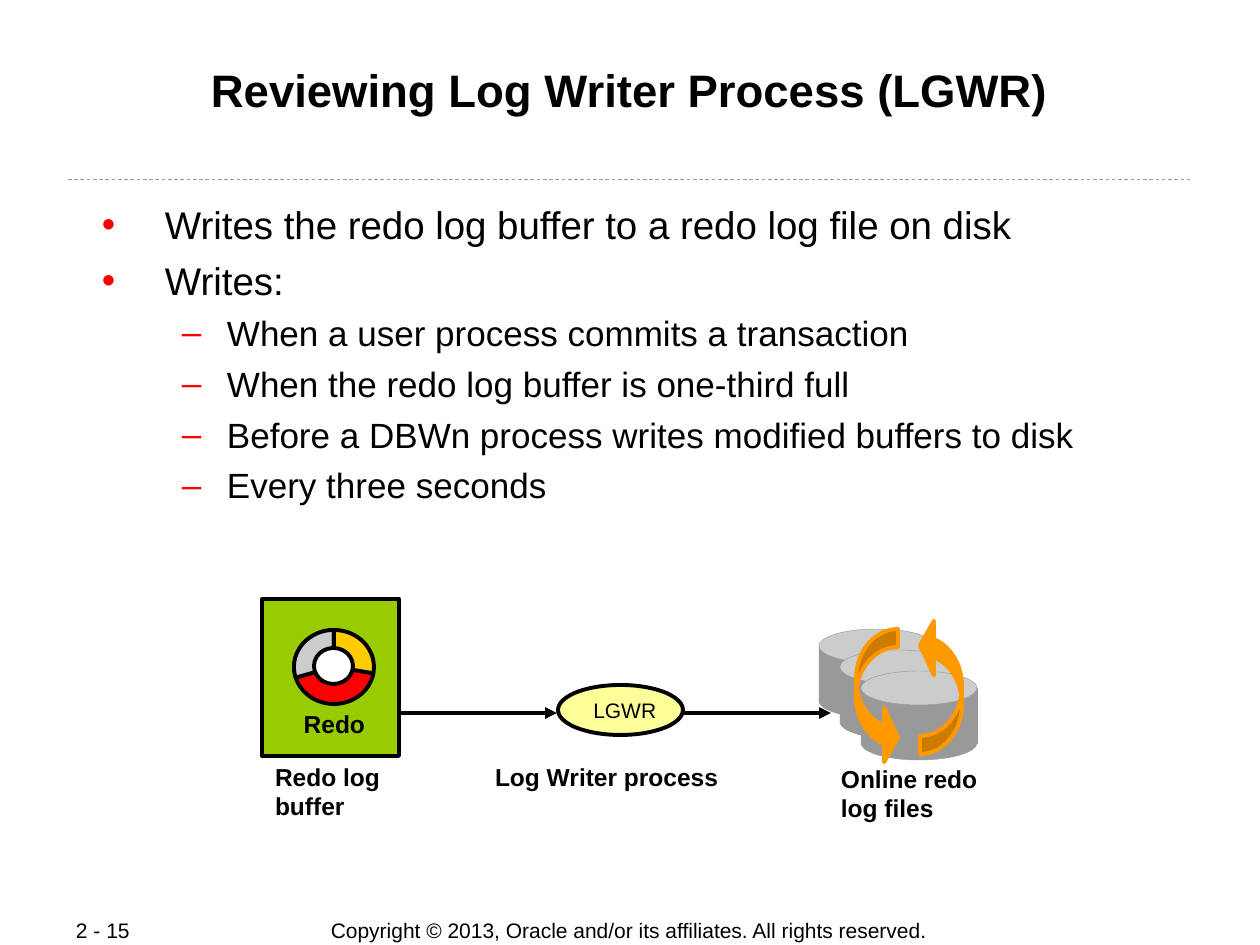
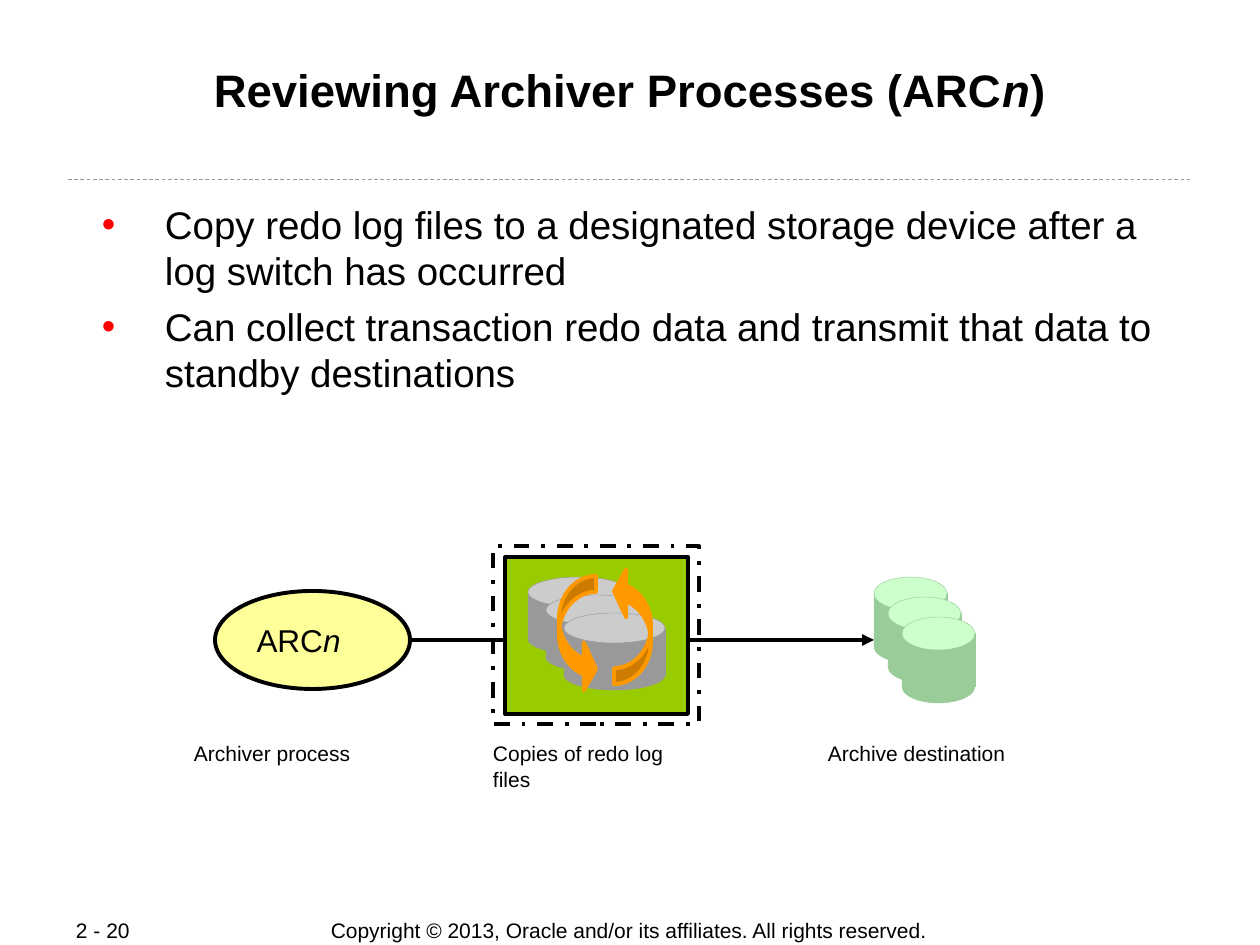
from math import cos, radians, sin

from lxml.etree import SubElement
from pptx import Presentation
from pptx.dml.color import RGBColor
from pptx.enum.dml import MSO_LINE
from pptx.enum.shapes import MSO_CONNECTOR, MSO_SHAPE
from pptx.enum.text import MSO_ANCHOR, PP_ALIGN
from pptx.oxml.ns import qn
from pptx.util import Pt

PX = 914400 / 126
FINE = 100
FONT = "Arial"
BLACK = RGBColor(0x00, 0x00, 0x00)
WHITE = RGBColor(0xFF, 0xFF, 0xFF)
RED = RGBColor(0xFF, 0x00, 0x00)
GRAY = RGBColor(0x99, 0x99, 0x99)
LIGHT_GRAY = RGBColor(0xCC, 0xCC, 0xCC)
GREEN = RGBColor(0x99, 0xCC, 0x00)
SAGE = RGBColor(0x99, 0xCC, 0x99)
MINT = RGBColor(0xCC, 0xFF, 0xCC)
YELLOW = RGBColor(0xFF, 0xFF, 0x99)
GOLD = RGBColor(0xFF, 0xCC, 0x00)
ORANGE = RGBColor(0xFF, 0x99, 0x00)
COPYRIGHT = "Copyright © 2013, Oracle and/or its affiliates. All rights reserved."
BULLETS = {0: ("•", 22, 5.5, 79, -63), 1: ("–", 20, 5, 141, -45)}


def emu(*lengths):
    """Turn px lengths into EMU."""
    return [round(length * PX) for length in lengths]


def write(paragraph, text, size, bold=False, align=PP_ALIGN.LEFT):
    """Write text into a paragraph; pieces between asterisks are italic."""
    paragraph.alignment = align
    for index, piece in enumerate(text.split("*")):
        run = paragraph.add_run()
        run.text = piece
        run.font.name = FONT
        run.font.size = Pt(size)
        run.font.bold = bold
        run.font.italic = index % 2 == 1
        run.font.color.rgb = BLACK


def set_frame(text_frame, insets, wrap=True, anchor=MSO_ANCHOR.TOP):
    """Set left, top, right and bottom insets, wrapping and anchor."""
    (text_frame.margin_left, text_frame.margin_top,
     text_frame.margin_right, text_frame.margin_bottom) = emu(*insets)
    text_frame.word_wrap = wrap
    text_frame.vertical_anchor = anchor


def add_text(slide, box, text, size, bold=False, align=PP_ALIGN.LEFT,
             insets=(13, 6, 13, 6), anchor=MSO_ANCHOR.TOP):
    """Add a text box with one paragraph per line of text."""
    text_frame = slide.shapes.add_textbox(*emu(*box)).text_frame
    set_frame(text_frame, insets, anchor=anchor)
    for index, line in enumerate(text.split("\n")):
        paragraph = text_frame.add_paragraph() if index else text_frame.paragraphs[0]
        write(paragraph, line, size, bold, align)


def add_bullets(slide, items):
    """Add the body list from (level, text) items."""
    text_frame = slide.shapes.add_textbox(*emu(85, 200, 1091, 310)).text_frame
    set_frame(text_frame, (1, 1, 1, 1))
    for index, (level, text) in enumerate(items):
        mark, size, space, margin, indent = BULLETS[level]
        paragraph = text_frame.add_paragraph() if index else text_frame.paragraphs[0]
        paragraph.level = level
        properties = paragraph._p.get_or_add_pPr()
        left, hanging = emu(margin, indent)
        properties.set("marL", str(left))
        properties.set("indent", str(hanging))
        color = SubElement(properties, qn("a:buClr"))
        SubElement(color, qn("a:srgbClr"), val=str(RED))
        SubElement(properties, qn("a:buFont"), typeface=FONT)
        SubElement(properties, qn("a:buChar"), char=mark)
        paragraph.font.size = Pt(size)
        if index:
            paragraph.space_before = Pt(space)
        write(paragraph, text, size)


def paint(shape, fill, line=BLACK, width=2.25):
    """Give a shape its fill and outline, without a shadow."""
    shape.shadow.inherit = False
    if fill is None:
        shape.fill.background()
    else:
        shape.fill.solid()
        shape.fill.fore_color.rgb = fill
    shape.line.color.rgb = line
    shape.line.width = Pt(width)


def add_shape(slide, kind, box, fill, line=BLACK, width=2.25):
    """Add a painted preset shape."""
    shape = slide.shapes.add_shape(kind, *emu(*box))
    paint(shape, fill, line, width)
    return shape


def add_line(slide, start, end, y, color=BLACK, width=2.25):
    """Add a horizontal line without a shadow."""
    line = slide.shapes.add_connector(MSO_CONNECTOR.STRAIGHT, *emu(start, y, end, y))
    line.line.color.rgb = color
    line.line.width = Pt(width)
    SubElement(line._element.spPr, qn("a:effectLst"))
    return line


def add_arrow(slide, start, end, y):
    """Add a horizontal line with an arrowhead at its end."""
    arrow = add_line(slide, start, end, y)
    SubElement(arrow.line._get_or_add_ln(), qn("a:tailEnd"), type="triangle")


def add_process(slide, box, text, size, insets):
    """Add a yellow process ellipse with its name."""
    ellipse = add_shape(slide, MSO_SHAPE.OVAL, box, YELLOW)
    set_frame(ellipse.text_frame, insets, False, MSO_ANCHOR.MIDDLE)
    write(ellipse.text_frame.paragraphs[0], text, size)


def add_cylinders(slide, x, y, step, size, cap, side, top):
    """Add three overlapping cylinders going down to the right."""
    width, height = size
    for index in range(3):
        left, upper = x + index * step[0], y + index * step[1]
        parts = (
            (MSO_SHAPE.RECTANGLE, upper + cap // 2, height - cap, side),
            (MSO_SHAPE.OVAL, upper, cap, top),
            (MSO_SHAPE.OVAL, upper + height - cap, cap, side),
        )
        for kind, part_top, part_height, fill in parts:
            add_shape(slide, kind, (left, part_top, width, part_height), fill, side, 0.25)


def add_cycle(slide, boxes):
    """Add the two curved arrows that turn around the log files."""
    for rotation, box in zip((0, 180), boxes):
        arrow = add_shape(slide, MSO_SHAPE.CURVED_RIGHT_ARROW, box, ORANGE, ORANGE)
        arrow.rotation = rotation
        for index, value in enumerate((0.43, 1.3, 0.33)):
            arrow.adjustments[index] = value


def add_wedge(slide, center, radii, start, end, fill):
    """Add an elliptic sector; angles run clockwise from the top."""
    center_x, center_y = (FINE * value for value in center)
    radius_x, radius_y = (FINE * value for value in radii)
    points = []
    for step in range(31):
        angle = radians(start + (end - start) * step / 30)
        points.append((center_x + radius_x * sin(angle), center_y - radius_y * cos(angle)))
    builder = slide.shapes.build_freeform(center_x, center_y, scale=PX / FINE)
    builder.add_line_segments(points, close=True)
    paint(builder.convert_to_shape(), fill)


def add_redo_buffer(slide):
    """Add the three-part ring and name of the redo log buffer."""
    for start, end, fill in ((253, 360, LIGHT_GRAY), (0, 100, GOLD), (100, 253, RED)):
        add_wedge(slide, (334, 667), (40, 37), start, end, fill)
    add_shape(slide, MSO_SHAPE.OVAL, (314, 648, 39, 36), WHITE)
    add_text(slide, (268, 703, 110, 43), "Redo", 14, True, PP_ALIGN.RIGHT)


def start_slide(presentation, title, number, items):
    """Add a slide with footer, rule, title and bullets."""
    slide = presentation.slides.add_slide(presentation.slide_layouts[6])
    add_text(slide, (279, 917, 700, 26), COPYRIGHT, 12, align=PP_ALIGN.CENTER,
             anchor=MSO_ANCHOR.MIDDLE)
    add_line(slide, 68, 1192, 179, GRAY, 0.5).line.dash_style = MSO_LINE.DASH
    add_text(slide, (63, 917, 134, 26), number, 12, anchor=MSO_ANCHOR.MIDDLE)
    add_text(slide, (84, 61, 1091, 121), title, 26, True, PP_ALIGN.CENTER, (1, 1, 1, 1))
    add_bullets(slide, items)
    return slide


def build_log_writer(presentation):
    """Build the log writer slide."""
    slide = start_slide(presentation, "Reviewing Log Writer Process (LGWR)", "2 - 15", (
        (0, "Writes the redo log buffer to a redo log file on disk"),
        (0, "Writes:"),
        (1, "When a user process commits a transaction"),
        (1, "When the redo log buffer is one-third full"),
        (1, "Before a DBWn process writes modified buffers to disk"),
        (1, "Every three seconds"),
    ))
    add_shape(slide, MSO_SHAPE.RECTANGLE, (262, 599, 137, 157), GREEN)
    add_arrow(slide, 399, 557, 713)
    add_arrow(slide, 641, 831, 713)
    add_text(slide, (262, 756, 158, 72), "Redo log buffer", 14, True)
    add_text(slide, (482, 756, 284, 43), "Log Writer process", 14, True)
    add_text(slide, (828, 758, 190, 72), "Online redo\nlog files", 14, True)
    add_process(slide, (558, 685, 125, 50), "LGWR", 12, (17, 6, 9, 6))
    add_redo_buffer(slide)
    add_cylinders(slide, 819, 629, (21, 21), (116, 89), 34, GRAY, LIGHT_GRAY)
    add_cycle(slide, ((856, 629, 42, 136), (920, 618, 42, 136)))


def build_archiver(presentation):
    """Build the archiver slide."""
    slide = start_slide(presentation, "Reviewing Archiver Processes (ARC*n*)", "2 - 20", (
        (0, "Copy redo log files to a designated storage device after a log switch has occurred"),
        (0, "Can collect transaction redo data and transmit that data to standby destinations"),
    ))
    add_arrow(slide, 381, 518, 640)
    add_arrow(slide, 685, 874, 640)
    for left, width, label in ((181, 262, "Archiver process"),
                               (480, 231, "Copies of redo log files"),
                               (815, 262, "Archive destination")):
        add_text(slide, (left, 735, width, 63), label, 12)
    add_shape(slide, MSO_SHAPE.RECTANGLE, (505, 557, 183, 157), GREEN)
    frame = add_shape(slide, MSO_SHAPE.RECTANGLE, (493, 546, 206, 178), None)
    frame.line.dash_style = MSO_LINE.DASH_DOT
    add_process(slide, (215, 591, 195, 98), "ARC*n*", 18, (13, 6, 13, 6))
    add_cylinders(slide, 528, 577, (18, 18), (101, 77), 30, GRAY, LIGHT_GRAY)
    add_cycle(slide, ((559, 576, 37, 117), (614, 567, 37, 117)))
    add_cylinders(slide, 874, 577, (14, 20), (73, 86), 33, SAGE, MINT)


def main():
    """Build and save the presentation."""
    presentation = Presentation()
    presentation.slide_width, presentation.slide_height = emu(1260, 945)
    build_log_writer(presentation)
    build_archiver(presentation)
    presentation.save("out.pptx")


if __name__ == "__main__":
    main()
